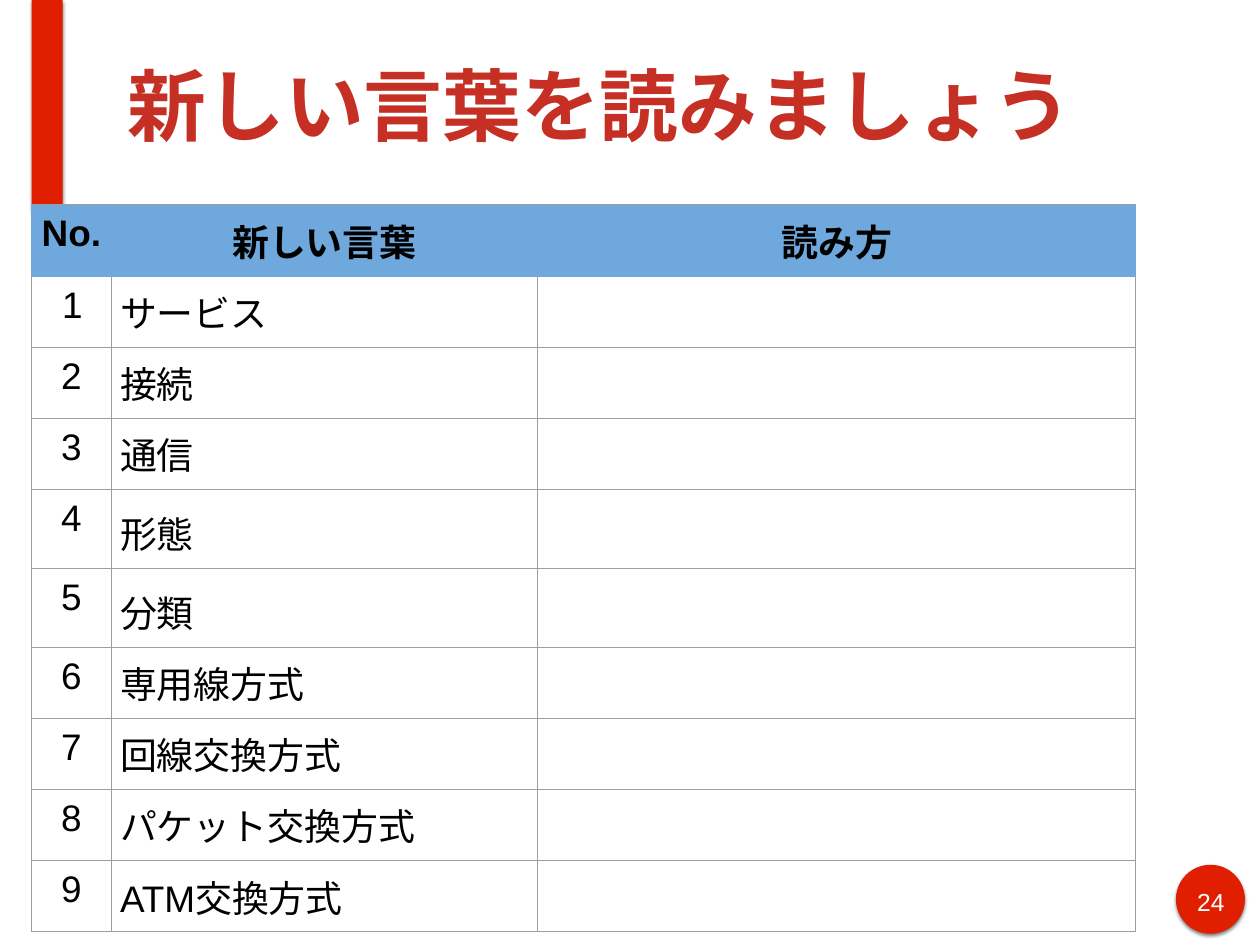
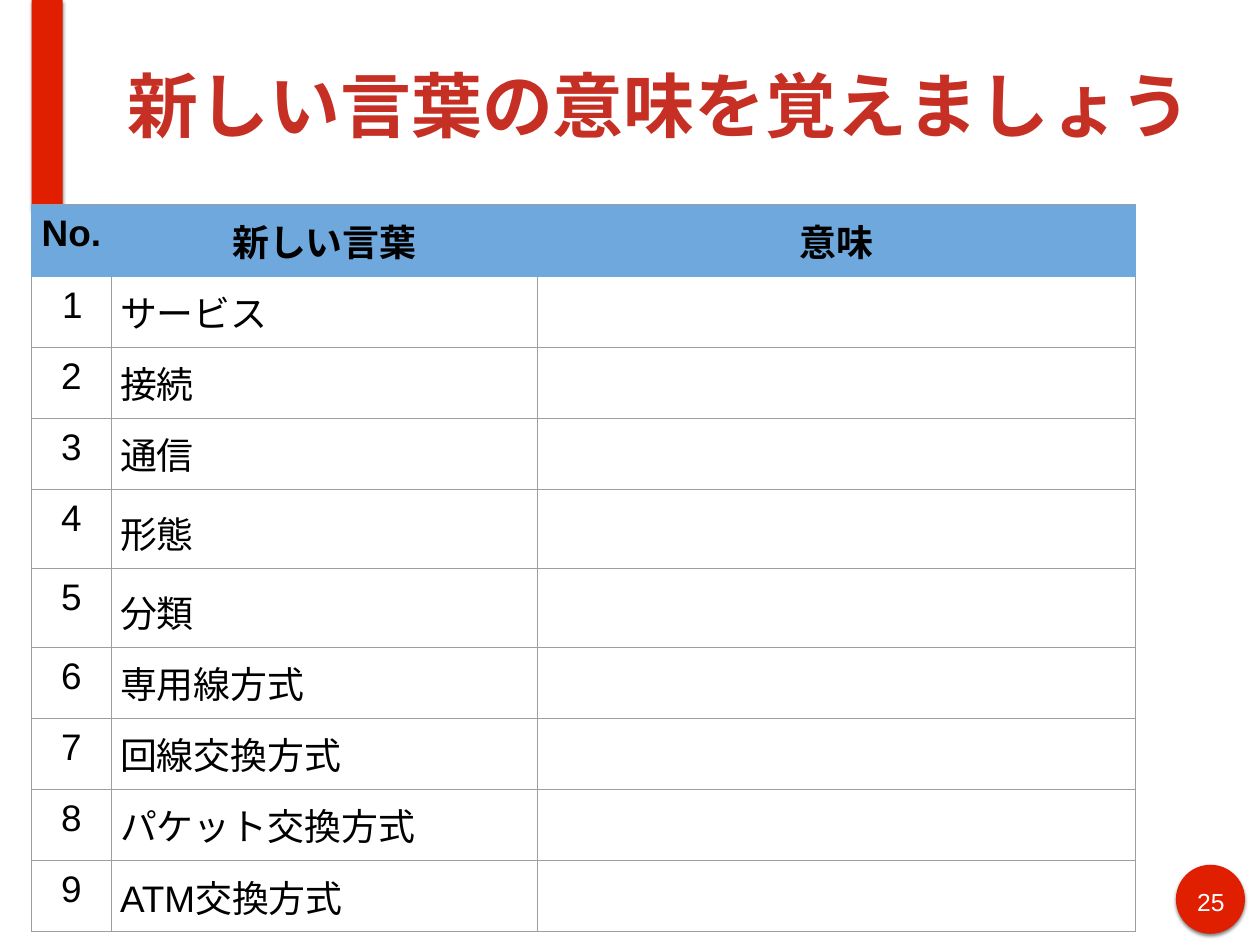
from dataclasses import dataclass
from typing import NamedTuple

from lxml.etree import SubElement
from pptx import Presentation
from pptx.dml.color import RGBColor
from pptx.enum.lang import MSO_LANGUAGE_ID as Lang
from pptx.enum.shapes import MSO_SHAPE as Shape
from pptx.enum.text import MSO_ANCHOR as Anchor, PP_ALIGN as Align
from pptx.oxml import parse_xml
from pptx.oxml.ns import nsdecls, qn
from pptx.util import Cm, Pt


@dataclass(frozen=True)
class Theme:
    font: str = "Arial"
    accent: str = "DF1F00"
    title: str = "C63024"
    header: str = "6FA8DC"
    grid: str = "9E9E9E"
    ink: str = "000000"
    paper: str = "FFFFFF"
    table_size: float = 30
    number_size: float = 20
    grid_width: float = 0.75


class Box(NamedTuple):
    left: float
    top: float
    width: float
    height: float

    def lengths(self) -> list:
        return [Cm(v) for v in self]


class Word(NamedTuple):
    text: str
    row_height: float = 2.04
    line_spacing: float | None = None
    space_after: float | None = None


class WordSlide(NamedTuple):
    title: str
    title_size: float
    answer_heading: str
    number: int


THEME = Theme()
BAR = Box(0.91, 0, 0.89, 5.99)
BADGE = Box(33.71, 24.79, 1.98, 1.98)
NUMBER = Box(34.09, 25.27, 1.24, 0.99)
TITLE = Box(3.51, 0.3, 30.84, 5.38)
TABLE_LEFT, TABLE_TOP, HEADER_HEIGHT = 0.9, 5.87, 2.04
COLUMNS = (2.29, 12.22, 17.15)
CELL_INSET = 0.25
TEXT_INSET = 0.15

WORDS = (
    Word("サービス"),
    Word("接続"),
    Word("通信"),
    Word("形態", 2.26, 1.15, 25),
    Word("分類", 2.26, 1.15, 25),
    Word("専用線方式"),
    Word("回線交換方式"),
    Word("パケット交換方式"),
    Word("ATM交換方式"),
)
SLIDES = (
    WordSlide("新しい言葉を読みましょう", 64, "読み方", 24),
    WordSlide("新しい言葉の意味を覚えましょう", 57.6, "意味", 25),
)


def write(tf, text: str, size: float, color: str, bold: bool = False, align=Align.LEFT):
    p = tf.paragraphs[0]
    p.text = text
    p.alignment = align
    for r in p.runs:
        r.font.name = THEME.font
        r.font.size = Pt(size)
        r.font.bold = bold
        r.font.color.rgb = RGBColor.from_string(color)
        r.font.language_id = Lang.JAPANESE
    return p


def add_accent(s, kind, box: Box) -> None:
    sp = s.shapes.add_shape(kind, *box.lengths())
    sp.fill.solid()
    sp.fill.fore_color.rgb = RGBColor.from_string(THEME.accent)
    sp.line.fill.background()
    sp._element.spPr.append(parse_xml(
        f'<a:effectLst {nsdecls("a")}>'
        '<a:outerShdw blurRad="38100" dist="25400" dir="5400000" rotWithShape="0">'
        f'<a:srgbClr val="{THEME.ink}"><a:alpha val="50000"/></a:srgbClr>'
        '</a:outerShdw></a:effectLst>'))


def add_text(s, box: Box, text: str, size: float, color: str, bold: bool = False,
             align=Align.LEFT, anchor=Anchor.TOP) -> None:
    tf = s.shapes.add_textbox(*box.lengths()).text_frame
    tf.word_wrap = True
    tf.vertical_anchor = anchor
    tf.margin_left = tf.margin_right = tf.margin_top = tf.margin_bottom = Cm(TEXT_INSET)
    for r in write(tf, text, size, color, bold, align).runs:
        SubElement(r.font._element, qn("a:ea")).set("typeface", THEME.font)


def set_borders(cell, row: int) -> None:
    inner = THEME.header if row == 0 else THEME.grid
    top = THEME.header if row == 1 else THEME.grid
    colors = {"lnL": inner, "lnR": inner, "lnT": top, "lnB": inner}
    tc_pr = cell._tc.get_or_add_tcPr()
    for i, (side, color) in enumerate(colors.items()):
        tc_pr.insert(i, parse_xml(
            f'<a:{side} {nsdecls("a")} w="{Pt(THEME.grid_width)}">'
            f'<a:solidFill><a:srgbClr val="{color}"/></a:solidFill></a:{side}>'))


def style_cell(cell, row: int) -> None:
    cell.margin_left = cell.margin_right = Cm(CELL_INSET)
    cell.margin_top = cell.margin_bottom = Cm(CELL_INSET)
    if row == 0:
        cell.fill.solid()
        cell.fill.fore_color.rgb = RGBColor.from_string(THEME.header)
    else:
        cell.fill.background()
    set_borders(cell, row)


def add_word_table(s, answer_heading: str) -> None:
    heights = [HEADER_HEIGHT, *(word.row_height for word in WORDS)]
    box = Box(TABLE_LEFT, TABLE_TOP, sum(COLUMNS), sum(heights))
    table = s.shapes.add_table(len(heights), len(COLUMNS), *box.lengths()).table
    table.first_row = table.horz_banding = False
    for column, width in zip(table.columns, COLUMNS):
        column.width = Cm(width)
    for i, (row, height) in enumerate(zip(table.rows, heights)):
        row.height = Cm(height)
        for cell in row.cells:
            style_cell(cell, i)

    for cell, heading in zip(table.rows[0].cells, ("No.", "新しい言葉", answer_heading)):
        write(cell.text_frame, heading, THEME.table_size, THEME.ink, True, Align.CENTER)
    for i, word in enumerate(WORDS, 1):
        first = i == 1
        p = write(table.cell(i, 0).text_frame, str(i), THEME.table_size, THEME.ink,
                  align=Align.LEFT if first else Align.CENTER)
        if first:
            p_pr = p._p.get_or_add_pPr()
            p_pr.set("marL", str(Cm(1.27)))
            p_pr.set("indent", str(-Cm(0.64)))
        p = write(table.cell(i, 1).text_frame, word.text, THEME.table_size, THEME.ink)
        if word.line_spacing:
            p.line_spacing = word.line_spacing
            p.space_after = Pt(word.space_after)


def build_slide(prs, page: WordSlide) -> None:
    s = prs.slides.add_slide(prs.slide_layouts[6])
    add_accent(s, Shape.OVAL, BADGE)
    add_accent(s, Shape.RECTANGLE, BAR)
    add_text(s, NUMBER, str(page.number), THEME.number_size, THEME.paper, align=Align.CENTER)
    add_text(s, TITLE, page.title, page.title_size, THEME.title, True, anchor=Anchor.MIDDLE)
    add_word_table(s, page.answer_heading)


def main() -> None:
    prs = Presentation()
    prs.slide_width, prs.slide_height = Cm(36.12), Cm(27.09)
    for page in SLIDES:
        build_slide(prs, page)
    prs.save("out.pptx")


if __name__ == "__main__":
    main()
